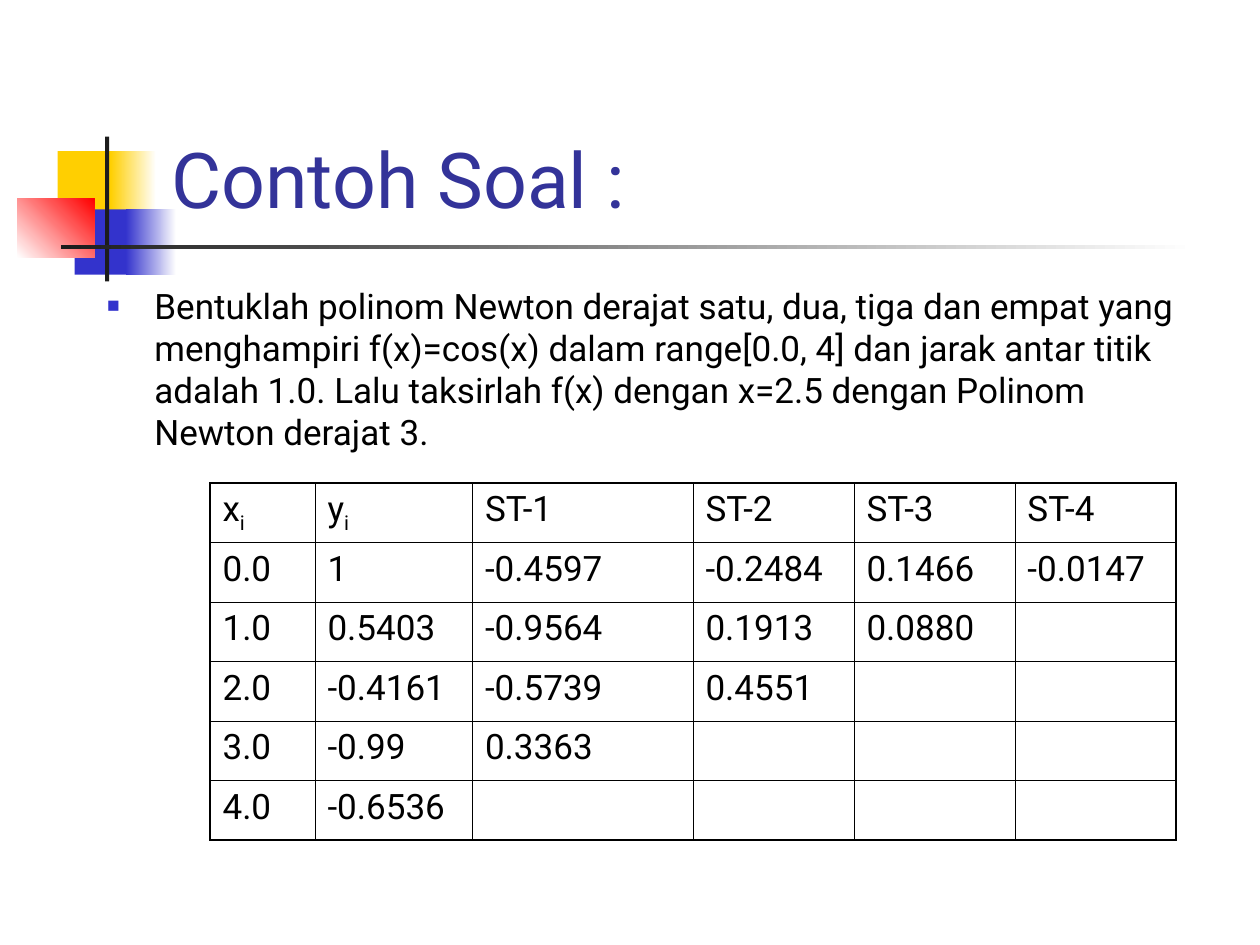
from dataclasses import dataclass

from lxml.etree import SubElement
from pptx import Presentation
from pptx.dml.color import RGBColor
from pptx.enum.shapes import MSO_SHAPE as Shape
from pptx.enum.text import MSO_ANCHOR as Anchor, MSO_AUTO_SIZE as AutoSize, PP_ALIGN as Align
from pptx.oxml.ns import qn
from pptx.util import Pt


@dataclass(frozen=True)
class Theme:
    font: str = "Roboto"
    title_size: int = 44
    text_size: int = 20
    title: str = "333399"
    text: str = "000000"
    white: str = "FFFFFF"
    yellow: str = "FFCF01"
    blue: str = "3333CC"
    red: str = "FF0000"
    dark: str = "1C1C1C"
    outer_line: float = 1.08
    inner_line: float = 0.45


THEME = Theme()

TITLE = "Contoh Soal :"
PROBLEM = (
    "Bentuklah polinom Newton derajat satu, dua, tiga dan empat yang "
    "menghampiri f(x)=cos(x) dalam range[0.0, 4] dan jarak antar titik "
    "adalah 1.0. Lalu taksirlah f(x) dengan x=2.5 dengan Polinom "
    "Newton derajat 3."
)
# An underscore separates a symbol from its subscript
DIFFERENCES = [
    ["x_i", "y_i", "ST-1", "ST-2", "ST-3", "ST-4"],
    ["0.0", "1", "-0.4597", "-0.2484", "0.1466", "-0.0147"],
    ["1.0", "0.5403", "-0.9564", "0.1913", "0.0880"],
    ["2.0", "-0.4161", "-0.5739", "0.4551"],
    ["3.0", "-0.99", "0.3363"],
    ["4.0", "-0.6536"],
]
COLUMN_WIDTHS = [60, 90, 126, 92, 92, 92]
ROW_HEIGHT = 34

# Left, top, width, height, colours (two make a gradient), angle
ORNAMENTS = [
    (33, 86.4, 34.6, 37.4, [THEME.yellow], 0),
    (63.2, 86.4, 26, 37.4, [THEME.yellow, THEME.white], 0),
    (42.6, 119.6, 33, 37.4, [THEME.blue], 0),
    (72, 119.6, 28.8, 37.4, [THEME.blue, THEME.white], 0),
    (9.8, 113.7, 44.2, 33.4, [THEME.white, THEME.red], 45),
    (60, 78, 2.4, 82.8, [THEME.dark], 0),
    (34.8, 140.1, 648, 2.5, [THEME.dark, THEME.white], 0),
]


def add_ornament(slide, left, top, width, height, colors, angle):
    ornament = slide.shapes.add_shape(
        Shape.RECTANGLE, Pt(left), Pt(top), Pt(width), Pt(height))
    ornament.shadow.inherit = False
    ornament.line.fill.background()
    if len(colors) == 1:
        ornament.fill.solid()
        ornament.fill.fore_color.rgb = RGBColor.from_string(colors[0])
        return
    ornament.fill.gradient()
    ornament.fill.gradient_angle = angle
    for stop, color in zip(ornament.fill.gradient_stops, colors):
        stop.color.rgb = RGBColor.from_string(color)


def add_run(paragraph, text, size, color, subscript=False):
    run = paragraph.add_run()
    run.text = text
    run.font.name = THEME.font
    run.font.size = Pt(size)
    run.font.color.rgb = RGBColor.from_string(color)
    if subscript:
        run.font._element.set("baseline", "-25000")


def fill_placeholder(placeholder, box, anchor, text, size, color):
    placeholder.left, placeholder.top, placeholder.width, placeholder.height = map(Pt, box)
    frame = placeholder.text_frame
    frame.word_wrap = True
    frame.auto_size = AutoSize.NONE
    frame.vertical_anchor = anchor
    paragraph = frame.paragraphs[0]
    paragraph.alignment = Align.LEFT
    paragraph.space_before = Pt(0)
    add_run(paragraph, text, size, color)
    # Bring the text in front of the ornaments
    placeholder.element.getparent().append(placeholder.element)
    return paragraph


def add_bullet(paragraph, char, color, percent, indent):
    properties = paragraph._p.get_or_add_pPr()
    properties.set("marL", str(Pt(indent)))
    properties.set("indent", str(-Pt(indent)))
    bullet_color = SubElement(properties, qn("a:buClr"))
    SubElement(bullet_color, qn("a:srgbClr"), val=color)
    SubElement(properties, qn("a:buSzPct"), val=str(percent * 1000))
    SubElement(properties, qn("a:buChar"), char=char)


def set_borders(cell, outer_sides):
    properties = cell._tc.get_or_add_tcPr()
    for side in "LRTB":
        width = THEME.outer_line if side in outer_sides else THEME.inner_line
        border = SubElement(properties, qn(f"a:ln{side}"), w=str(Pt(width)))
        fill = SubElement(border, qn("a:solidFill"))
        SubElement(fill, qn("a:srgbClr"), val=THEME.text)


def add_difference_table(slide, left, top):
    row_count, column_count = len(DIFFERENCES), len(COLUMN_WIDTHS)
    table = slide.shapes.add_table(
        row_count, column_count, Pt(left), Pt(top),
        Pt(sum(COLUMN_WIDTHS)), Pt(ROW_HEIGHT * row_count)).table
    table.first_row = table.horz_banding = False
    for column, width in zip(table.columns, COLUMN_WIDTHS):
        column.width = Pt(width)
    for r, values in enumerate(DIFFERENCES):
        table.rows[r].height = Pt(ROW_HEIGHT)
        for c in range(column_count):
            cell = table.cell(r, c)
            edges = {"L": c == 0, "R": c == column_count - 1,
                     "T": r == 0, "B": r == row_count - 1}
            set_borders(cell, [side for side, is_outer in edges.items() if is_outer])
            cell.fill.background()
            if c < len(values):
                for part, text in enumerate(values[c].split("_")):
                    add_run(cell.text_frame.paragraphs[0], text,
                            THEME.text_size, THEME.text, subscript=part > 0)


def main():
    deck = Presentation()
    deck.slide_width, deck.slide_height = Pt(720), Pt(540)
    slide = deck.slides.add_slide(deck.slide_layouts[1])
    title, body = slide.placeholders

    # Coloured squares and rules beside the title
    for ornament in ORNAMENTS:
        add_ornament(slide, *ornament)

    # Title and problem statement
    fill_placeholder(title, (90.7, 16.5, 613.5, 115.2), Anchor.BOTTOM,
                     TITLE, THEME.title_size, THEME.title)
    problem = fill_placeholder(body, (54, 159, 630, 324), Anchor.TOP,
                               PROBLEM, THEME.text_size, THEME.text)
    add_bullet(problem, "■", THEME.blue, 60, 27)

    # Divided differences
    add_difference_table(slide, 120, 276)
    deck.save("out.pptx")


if __name__ == "__main__":
    main()
